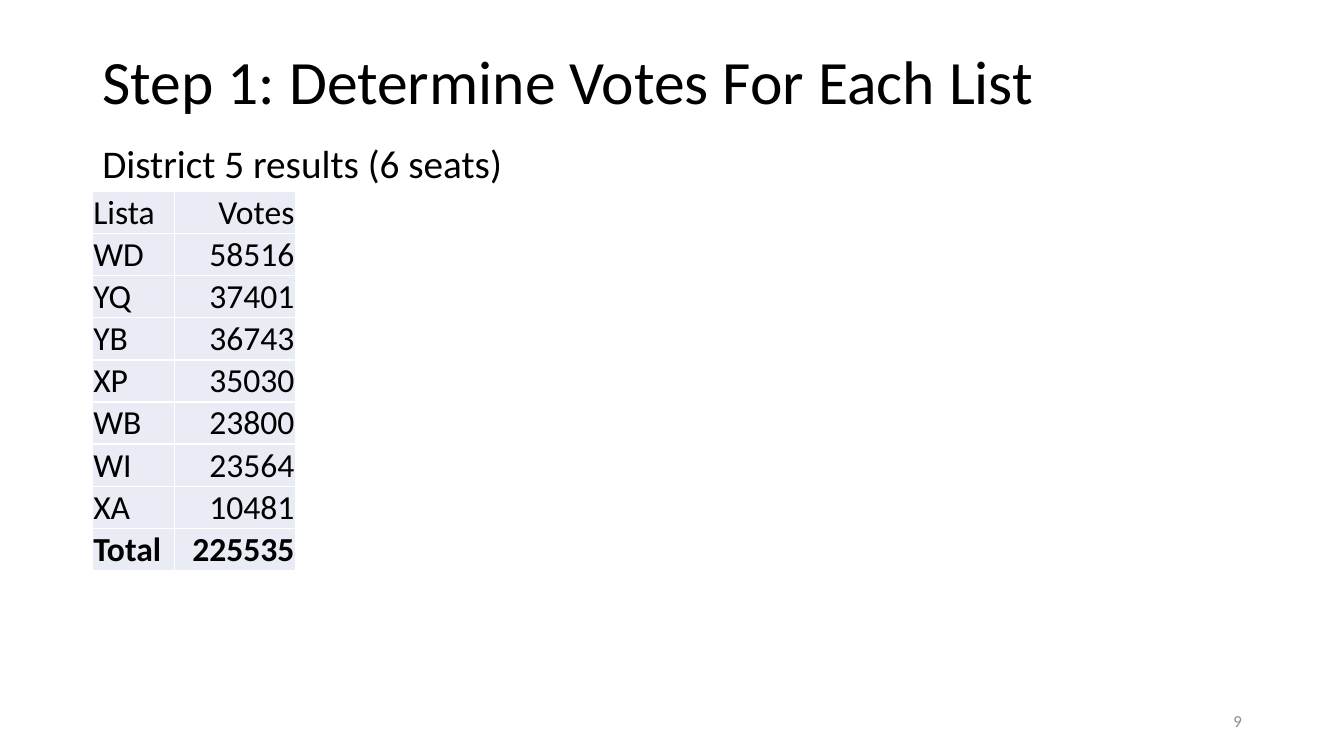
from lxml import etree
from pptx import Presentation
from pptx import util as u
from pptx.dml.color import RGBColor
from pptx.enum import text
from pptx.oxml.ns import qn

TITLE = "Step 1: Determine Votes For Each List"
SUBTITLE = "District 5 results (6 seats)"
PAGE_NUMBER = "9"
VOTES = [
    ("Lista", "Votes"),
    ("WD", "58516"),
    ("YQ", "37401"),
    ("YB", "36743"),
    ("XP", "35030"),
    ("WB", "23800"),
    ("WI", "23564"),
    ("XA", "10481"),
    ("Total", "225535"),
]
COLUMN_WIDTHS = (2.06, 3.05)
ROW_HEIGHT = 1.06
LEFT = 2.33
ALIGNMENTS = (text.PP_ALIGN.LEFT, text.PP_ALIGN.RIGHT)


def color(value):
    return RGBColor.from_string(value)


def write(frame, words, size, ink="000000", align=text.PP_ALIGN.LEFT, bold=False):
    frame.text = words
    para = frame.paragraphs[0]
    para.alignment = align
    para.font.name = "Calibri"
    para.font.size = u.Pt(size)
    para.font.bold = bold
    para.font.color.rgb = color(ink)
    return para


def add_label(page, place, words, size, **style):
    frame = page.shapes.add_textbox(*map(u.Cm, place)).text_frame
    write(frame, words, size, **style)
    return frame


def set_borders(cell, ink, width):
    props = cell._tc.get_or_add_tcPr()
    for index, side in enumerate(("a:lnL", "a:lnR", "a:lnT", "a:lnB")):
        line = etree.Element(qn(side), w=str(u.Pt(width)))
        fill = etree.SubElement(line, qn("a:solidFill"))
        etree.SubElement(fill, qn("a:srgbClr"), val=ink)
        props.insert(index, line)


def add_votes_table(page):
    table = page.shapes.add_table(
        len(VOTES), len(COLUMN_WIDTHS), u.Cm(LEFT), u.Cm(4.83),
        u.Cm(sum(COLUMN_WIDTHS)), u.Cm(ROW_HEIGHT * len(VOTES))).table
    table.first_row = table.horz_banding = False
    for column, width in zip(table.columns, COLUMN_WIDTHS):
        column.width = u.Cm(width)
    for r, row in enumerate(VOTES):
        table.rows[r].height = u.Cm(ROW_HEIGHT)
        for c, words in enumerate(row):
            cell = table.cell(r, c)
            cell.margin_left = cell.margin_right = cell.margin_top = u.Cm(0.02)
            cell.margin_bottom = 0
            cell.vertical_anchor = text.MSO_ANCHOR.BOTTOM
            cell.fill.solid()
            cell.fill.fore_color.rgb = color("E9EBF5")
            set_borders(cell, "FFFFFF", 1)
            write(cell.text_frame, words, 24, align=ALIGNMENTS[c],
                  bold=row[0] == "Total")


def main():
    deck = Presentation()
    deck.slide_width, deck.slide_height = u.Cm(33.87), u.Cm(19.05)
    page = deck.slides.add_slide(deck.slide_layouts[5])

    title = page.shapes.title
    title.left, title.top = u.Cm(LEFT), u.Cm(0.28)
    title.width, title.height = u.Cm(26.52), u.Cm(3.68)
    title.text_frame.vertical_anchor = text.MSO_ANCHOR.MIDDLE
    write(title.text_frame, TITLE, 44).line_spacing = 0.9

    number = add_label(page, (23.93, 17.65, 7.62, 1.02), PAGE_NUMBER, 12,
                       ink="8C8C8C", align=text.PP_ALIGN.RIGHT)
    number.word_wrap = True
    number.vertical_anchor = text.MSO_ANCHOR.MIDDLE

    add_votes_table(page)
    subtitle = add_label(page, (LEFT, 3.38, 10.72, 1.45), SUBTITLE, 28)
    subtitle.word_wrap = False
    subtitle.auto_size = text.MSO_AUTO_SIZE.SHAPE_TO_FIT_TEXT

    deck.save("out.pptx")


if __name__ == "__main__":
    main()
